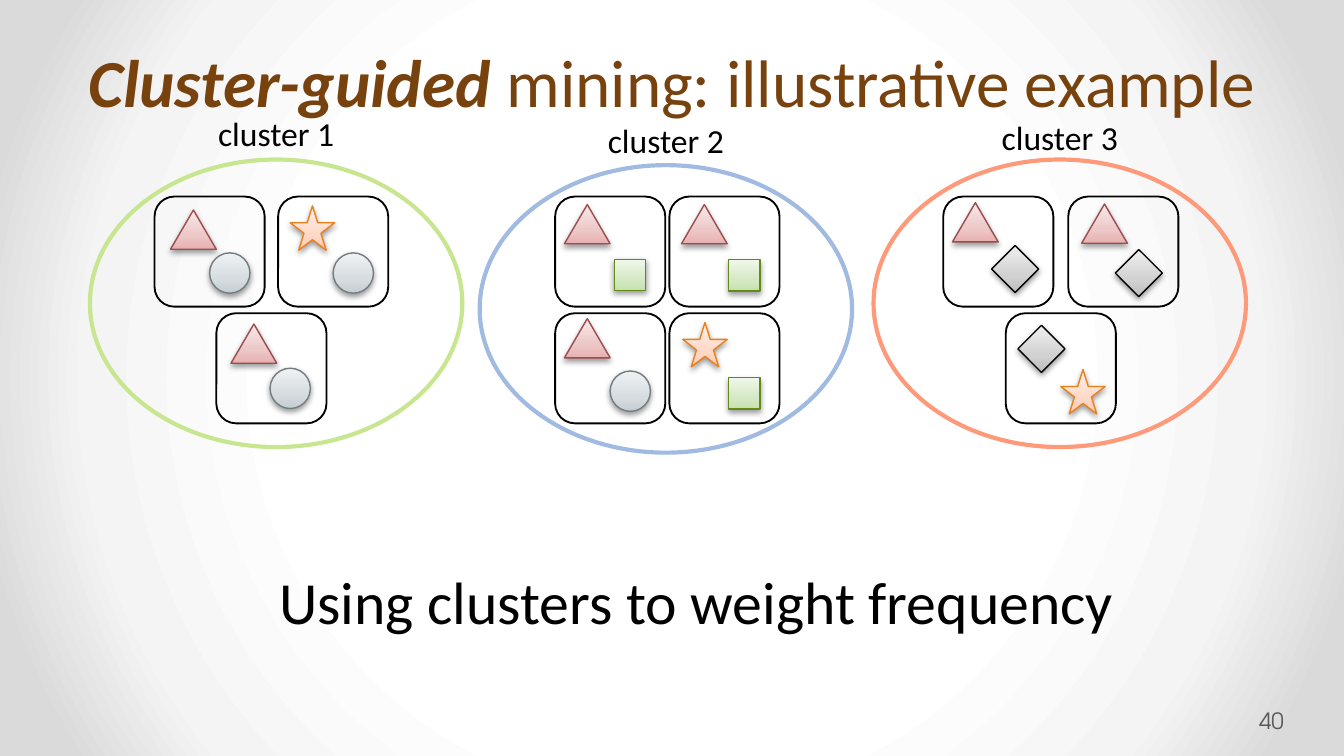
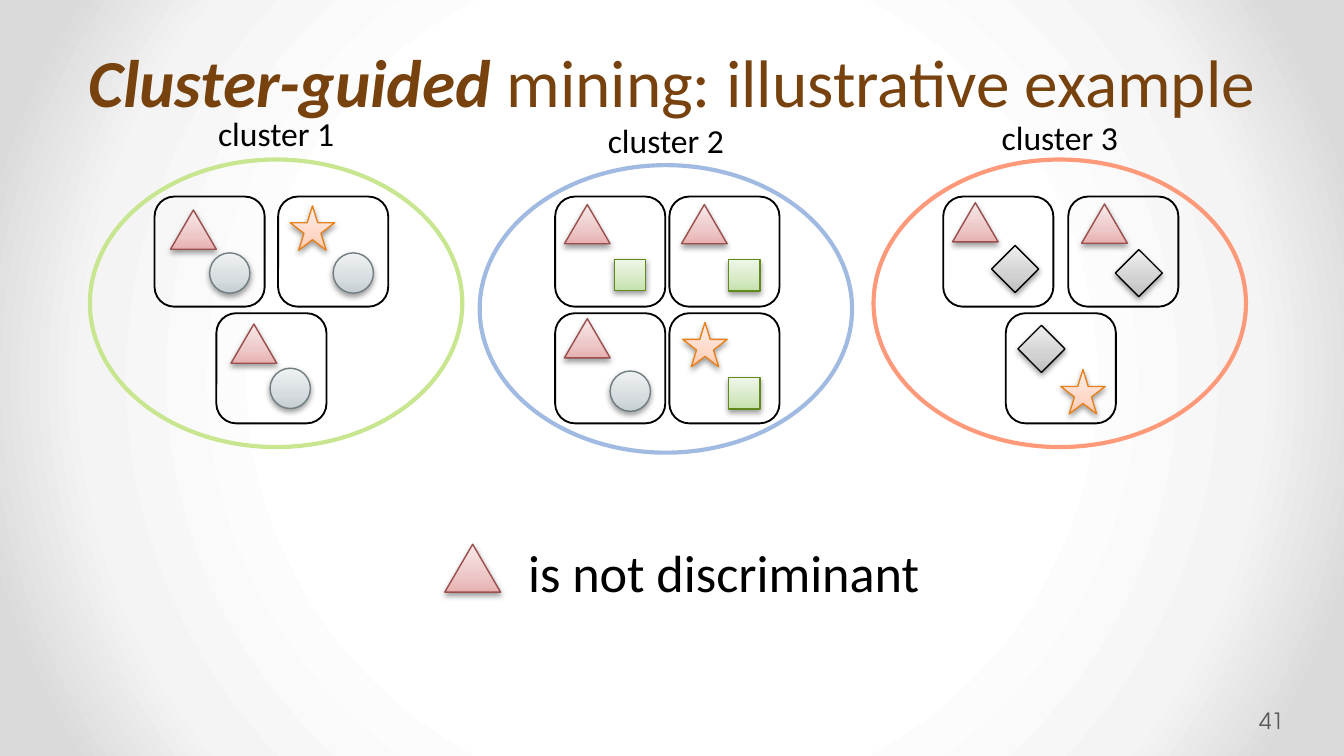
from dataclasses import dataclass

from lxml import etree
from pptx import Presentation
from pptx.dml.color import RGBColor
from pptx.enum import shapes, text
from pptx.oxml import ns
from pptx.util import Pt

BLACK = RGBColor(0x00, 0x00, 0x00)
WHITE = RGBColor(0xFF, 0xFF, 0xFF)
BROWN = RGBColor(0x77, 0x42, 0x0D)
GREY = RGBColor(0x59, 0x59, 0x59)
PALE_GREY = RGBColor(0xF4, 0xF4, 0xF4)
EDGE_GREY = RGBColor(0xDA, 0xDA, 0xDA)
LIME = RGBColor(0xC7, 0xE6, 0x8F)
BLUE = RGBColor(0xA0, 0xBA, 0xE1)
CORAL = RGBColor(0xFE, 0x99, 0x7A)
RED_LINE = RGBColor(0x9A, 0x4E, 0x4E)
RED_FILL = [RGBColor(0xE8, 0xB0, 0xB0), RGBColor(0xED, 0xC8, 0xC8), RGBColor(0xF9, 0xE9, 0xE9)]
STEEL_LINE = RGBColor(0x72, 0x7D, 0x82)
STEEL_FILL = [RGBColor(0xC5, 0xCE, 0xD2), RGBColor(0xD6, 0xDC, 0xDF), RGBColor(0xEF, 0xF2, 0xF3)]
GREEN_LINE = RGBColor(0x62, 0x89, 0x1C)
GREEN_FILL = [RGBColor(0xC5, 0xE1, 0xAB), RGBColor(0xD6, 0xE9, 0xC5), RGBColor(0xEF, 0xF7, 0xE9)]
ORANGE_LINE = RGBColor(0xE6, 0x81, 0x1C)
ORANGE_FILL = [RGBColor(0xFF, 0xC9, 0xB1), RGBColor(0xFF, 0xD8, 0xC8), RGBColor(0xFF, 0xF0, 0xEA)]
DARK_FILL = [RGBColor(0xBD, 0xBD, 0xBD), RGBColor(0xD1, 0xD1, 0xD1), RGBColor(0xEE, 0xEE, 0xEE)]

BODY_FONT = "Calibri"
NUMBER_FONT = "TeX Gyre Adventor"
CELL = 59
ROW_TOPS = (105.3, 167.8)
OVAL_WIDTH, OVAL_HEIGHT = 199.5, 154
LABEL_WIDTH, LABEL_HEIGHT = 77.8, 28.8


@dataclass
class Symbol:
    preset: shapes.MSO_SHAPE
    width: float
    height: float
    line: RGBColor
    fill: list


TRIANGLE = Symbol(shapes.MSO_SHAPE.ISOSCELES_TRIANGLE, 24.5, 21, RED_LINE, RED_FILL)
CIRCLE = Symbol(shapes.MSO_SHAPE.OVAL, 21.6, 21.6, STEEL_LINE, STEEL_FILL)
SQUARE = Symbol(shapes.MSO_SHAPE.RECTANGLE, 16.8, 16.8, GREEN_LINE, GREEN_FILL)
STAR = Symbol(shapes.MSO_SHAPE.STAR_5_POINT, 23.8, 23.8, ORANGE_LINE, ORANGE_FILL)
DIAMOND = Symbol(shapes.MSO_SHAPE.FLOWCHART_DECISION, 25.2, 25.2, BLACK, DARK_FILL)


@dataclass
class Cluster:
    """Rows list the cells; a cell lists (symbol, offset right, offset down)."""
    name: str
    colour: RGBColor
    left: float
    top: float
    label_top: float
    centre: float
    gap: float
    rows: list


CLUSTERS = [
    Cluster("cluster 1", LIME, 48.2, 85.5, 56.9, 145.4, 7.2, [
        [[(TRIANGLE, 8.6, 7.2), (CIRCLE, 29.5, 30.2)],
         [(CIRCLE, 29.5, 30.2), (STAR, 6.5, 5)]],
        [[(TRIANGLE, 7.9, 5.8), (CIRCLE, 28.8, 29.5)]],
    ]),
    Cluster("cluster 2", BLUE, 257, 88.5, 60.5, 357.5, 2.2, [
        [[(TRIANGLE, 5, 4.3), (SQUARE, 31.7, 33.6)],
         [(TRIANGLE, 6.5, 4.3), (SQUARE, 31.7, 33.8)]],
        [[(TRIANGLE, 5, 2.9), (CIRCLE, 29.5, 31)],
         [(SQUARE, 31.7, 34.5), (STAR, 7.2, 5)]],
    ]),
    Cluster("cluster 3", CORAL, 468, 85.5, 59, 568.3, 8, [
        [[(TRIANGLE, 5, 3.3), (DIAMOND, 25.9, 26.2)],
         [(TRIANGLE, 7.2, 4), (DIAMOND, 25.2, 28.4)]],
        [[(STAR, 29.5, 30.2), (DIAMOND, 6.5, 6.5)]],
    ]),
]


def make_gradient(stops, circular=False):
    """Return a gradFill element, rising from the base or spreading from the centre."""
    gradient = etree.Element(ns.qn("a:gradFill"), rotWithShape="1")
    stop_list = etree.SubElement(gradient, ns.qn("a:gsLst"))
    for percent, colour in stops:
        stop = etree.SubElement(stop_list, ns.qn("a:gs"), pos=str(percent * 1000))
        etree.SubElement(stop, ns.qn("a:srgbClr"), val=str(colour))
    if circular:
        spread = etree.SubElement(gradient, ns.qn("a:path"), path="circle")
        etree.SubElement(spread, ns.qn("a:fillToRect"),
                         dict.fromkeys("ltrb", "50000"))
    else:
        etree.SubElement(gradient, ns.qn("a:lin"), ang="16200000", scaled="0")
    return gradient


def apply_gradient(fill, owner, gradient):
    """Put the gradient where the owner's solid fill would stand."""
    fill.solid()
    solid = owner.find(ns.qn("a:solidFill"))
    owner.replace(solid, gradient)


class Deck:
    def __init__(self):
        self.presentation = Presentation()
        self.presentation.slide_width = Pt(720)
        self.presentation.slide_height = Pt(405)
        self.slide = None
        master = self.presentation.slide_master
        fill = master.background.fill
        fill.solid()
        backdrop = make_gradient([(50, WHITE), (76, PALE_GREY), (92, EDGE_GREY)], circular=True)
        apply_gradient(fill, master.element.xpath(".//p:bgPr")[0], backdrop)

    def add_slide(self, number):
        self.slide = self.presentation.slides.add_slide(self.presentation.slide_layouts[6])
        self.add_title()
        for cluster in CLUSTERS:
            self.add_cluster(cluster)
        frame = self.add_text(str(number), 672.5, 375, 44, 21.6, 12, GREY, NUMBER_FONT)
        frame.margin_left = Pt(2)
        frame.vertical_anchor = text.MSO_ANCHOR.MIDDLE

    def add_text(self, runs, left, top, width, height, size, colour=BLACK,
                 font=BODY_FONT, align=text.PP_ALIGN.LEFT, wrap=True):
        """Add a one-paragraph box; runs is a string or a list of strings."""
        box = self.slide.shapes.add_textbox(Pt(left), Pt(top), Pt(width), Pt(height))
        frame = box.text_frame
        frame.word_wrap = wrap
        paragraph = frame.paragraphs[0]
        paragraph.alignment = align
        for words in [runs] if isinstance(runs, str) else runs:
            run = paragraph.add_run()
            run.text = words
            run.font.size = Pt(size)
            run.font.name = font
            run.font.color.rgb = colour
        return frame

    def add_title(self):
        frame = self.add_text(["Cluster-guided", " mining: illustrative example"],
                              36, 1.5, 648, 67, 36, BROWN, align=text.PP_ALIGN.CENTER)
        frame.vertical_anchor = text.MSO_ANCHOR.BOTTOM
        paragraph = frame.paragraphs[0]
        paragraph.line_spacing = Pt(58)
        emphasis = paragraph.runs[0].font
        emphasis.bold = emphasis.italic = True

    def add_outline(self, preset, left, top, width, height, colour, weight):
        shape = self.slide.shapes.add_shape(preset, Pt(left), Pt(top), Pt(width), Pt(height))
        shape.shadow.inherit = False
        shape.fill.background()
        shape.line.color.rgb = colour
        shape.line.width = Pt(weight)
        return shape

    def add_symbol(self, symbol, left, top, scale=1):
        shape = self.add_outline(symbol.preset, left, top, symbol.width * scale,
                                 symbol.height * scale, symbol.line, 0.75)
        properties = shape.element.spPr
        apply_gradient(shape.fill, properties, make_gradient(zip((0, 35, 100), symbol.fill)))
        shadow = etree.SubElement(
            properties.find(ns.qn("a:effectLst")), ns.qn("a:outerShdw"),
            blurRad=str(Pt(3.1)), dist=str(Pt(1.6)), dir="5400000", rotWithShape="0")
        colour = etree.SubElement(shadow, ns.qn("a:srgbClr"), val=str(BLACK))
        etree.SubElement(colour, ns.qn("a:alpha"), val="38000")

    def add_cell(self, left, top, symbols):
        cell = self.add_outline(shapes.MSO_SHAPE.ROUNDED_RECTANGLE, left, top,
                                CELL, CELL, BLACK, 1)
        cell.adjustments[0] = 0.18
        for symbol, right, down in symbols:
            self.add_symbol(symbol, left + right, top + down)

    def add_cluster(self, cluster):
        pitch = CELL + cluster.gap
        for top, cells in zip(ROW_TOPS, cluster.rows):
            first = cluster.centre - (len(cells) * pitch - cluster.gap) / 2
            for column, symbols in enumerate(cells):
                self.add_cell(first + column * pitch, top, symbols)
        self.add_outline(shapes.MSO_SHAPE.OVAL, cluster.left, cluster.top,
                         OVAL_WIDTH, OVAL_HEIGHT, cluster.colour, 2.25)
        self.add_text(cluster.name, cluster.left + (OVAL_WIDTH - LABEL_WIDTH) / 2,
                      cluster.label_top, LABEL_WIDTH, LABEL_HEIGHT, 18,
                      align=text.PP_ALIGN.CENTER, wrap=False)


def main():
    deck = Deck()

    deck.add_slide(40)
    frame = deck.add_text("Using clusters to weight frequency",
                          106.5, 299, 507, 46, 32, wrap=False)
    frame.paragraphs[0].level = 1

    deck.add_slide(41)
    deck.add_symbol(TRIANGLE, 238.3, 291.6, scale=1.22)
    deck.add_text("is not discriminant", 275.8, 286, 226.8, 41, 28, wrap=False)

    deck.presentation.save("out.pptx")


if __name__ == "__main__":
    main()
